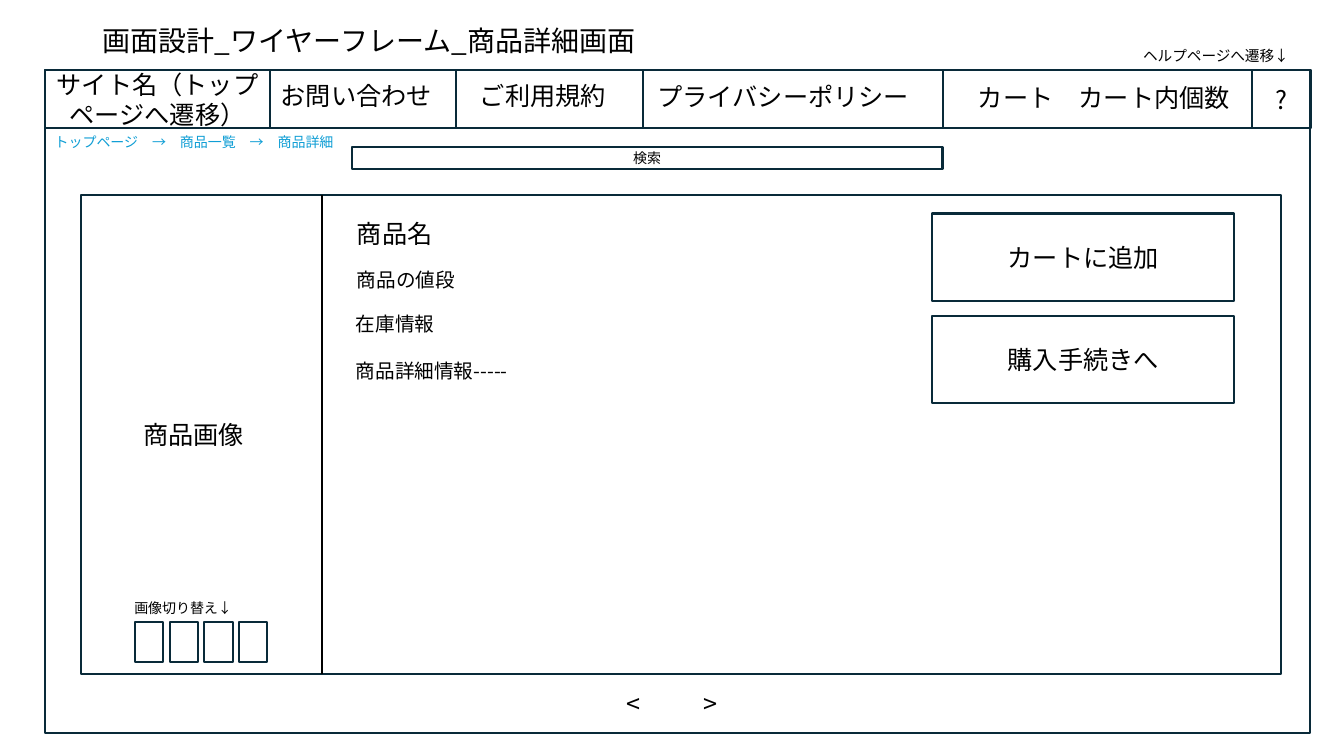
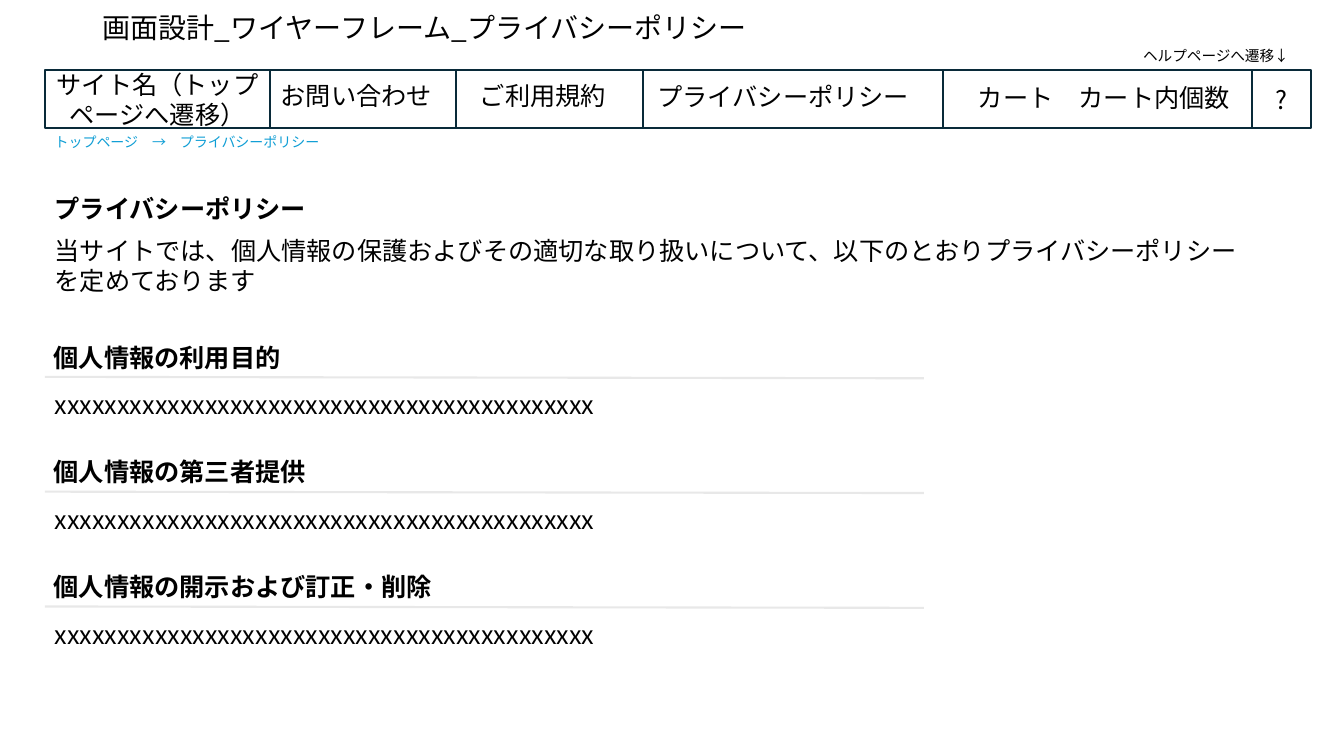
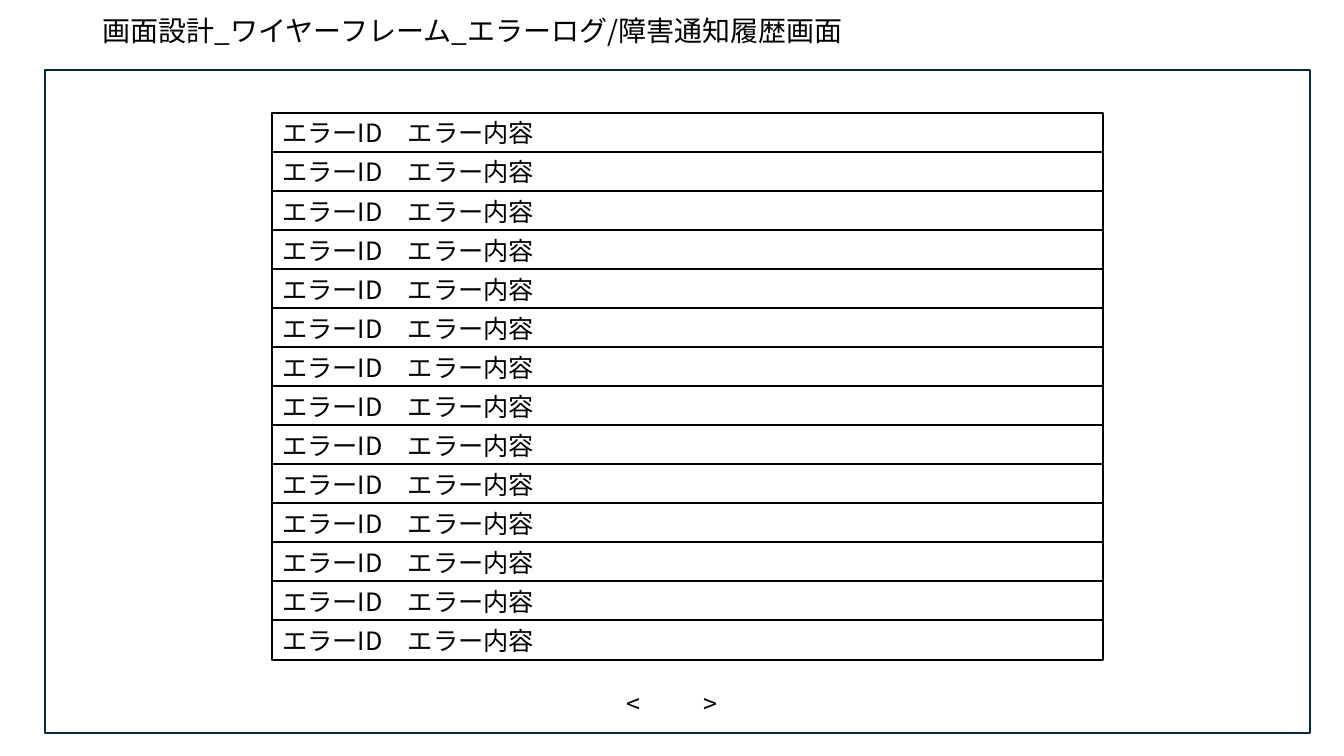
import lxml.etree
import pptx
import pptx.dml.color
import pptx.enum.lang
import pptx.enum.shapes
import pptx.enum.text
import pptx.oxml.ns
import pptx.util

Pt = pptx.util.Pt
RGB = pptx.dml.color.RGBColor
ALIGN = pptx.enum.text.PP_ALIGN
ANCHOR = pptx.enum.text.MSO_ANCHOR
qn = pptx.oxml.ns.qn

FONT = "Noto Sans CJK JP"
BLACK = RGB(0x00, 0x00, 0x00)
WHITE = RGB(0xFF, 0xFF, 0xFF)
NAVY = RGB(0x09, 0x2A, 0x39)
BLUE = RGB(0x0F, 0x9E, 0xD5)
GREY = RGB(0xE8, 0xE8, 0xE8)

STROKE = 1.5
PAGE = (32, 50.1, 904, 473.6)
BAR_H = 41.4
# Menu cells: label, width, and how far the label sits from the cell's centre
MENU = [
    ("お問い合わせ", 133, -5, -2.5),
    ("ご利用規約", 133.5, -5, -2.5),
    ("プライバシーポリシー", 214, -7, -2),
    ("カート　カート内個数", 221, 4.5, -1),
]
SITE_W, HELP_W = 161, 42


def apply(item, values):
    for name, value in values.items():
        setattr(item, name, value)


def write(shape, text, size=18, color=BLACK, bold=False, align=ALIGN.LEFT,
          anchor=ANCHOR.TOP, **para):
    """Fill a shape with text, one paragraph per line."""
    frame = shape.text_frame
    apply(frame, {"text": text, "word_wrap": True, "vertical_anchor": anchor,
                  "auto_size": pptx.enum.text.MSO_AUTO_SIZE.NONE})
    for line in frame.paragraphs:
        apply(line, {"alignment": align, **para})
        for run in line.runs:
            apply(run.font, {"name": FONT, "size": Pt(size), "bold": bold,
                             "language_id": pptx.enum.lang.MSO_LANGUAGE_ID.JAPANESE})
            run.font.color.rgb = color
            east = lxml.etree.SubElement(run.font._element, qn("a:ea"))
            east.set("typeface", FONT)
    return frame


def label(slide, box, text, **style):
    return write(slide.shapes.add_textbox(*map(Pt, box)), text, **style)


def panel(slide, box, text="", color=NAVY, fill=None, **style):
    """Draw an outlined rectangle, with text if given."""
    kind = pptx.enum.shapes.MSO_SHAPE.RECTANGLE
    shape = slide.shapes.add_shape(kind, *map(Pt, box))
    shape.shadow.inherit = False
    if fill is None:
        shape.fill.background()
    else:
        shape.fill.solid()
        shape.fill.fore_color.rgb = fill
    shape.line.color.rgb = color
    shape.line.width = Pt(STROKE)
    if text:
        write(shape, text, **{"align": ALIGN.CENTER, "anchor": ANCHOR.MIDDLE, **style})


def rule(slide, start, end, color=BLACK):
    kind = pptx.enum.shapes.MSO_CONNECTOR.STRAIGHT
    line = slide.shapes.add_connector(kind, *map(Pt, start + end))
    line.line.color.rgb = color
    line.line.width = Pt(STROKE)
    lxml.etree.SubElement(line._element.spPr, qn("a:effectLst"))


def start(deck, name, width, height):
    """Add a slide with its title."""
    slide = deck.slides.add_slide(deck.slide_layouts[5])
    title = slide.shapes.title
    apply(title, {"left": Pt(66), "top": Pt(16.5),
                  "width": Pt(width), "height": Pt(height)})
    write(title, "画面設計_ワイヤーフレーム_" + name, size=20,
          anchor=ANCHOR.MIDDLE, line_spacing=0.9)
    return slide


def header(slide, trail, left, top):
    """Draw the menu bar, the help hint and the breadcrumb trail."""
    base = top + BAR_H
    x = left + SITE_W
    rule(slide, (x, base), (x + sum(cell[1] for cell in MENU), base))
    panel(slide, (left, top, SITE_W, BAR_H), "サイト名（トップページへ遷移）")
    for text, width, dx, dy in MENU:
        panel(slide, (x, top, width, BAR_H))
        label(slide, (x + dx, top + dy, width, BAR_H), text,
              align=ALIGN.CENTER, anchor=ANCHOR.MIDDLE)
        x += width
    panel(slide, (x, top, HELP_W, BAR_H), "?")
    label(slide, (x + HELP_W - 127, top - 20, 127, 20), "ヘルプページへ遷移↓", size=10.5)
    label(slide, (left, base, 354, 19), trail, size=10, color=BLUE)


def pager(slide, left, top):
    """Place both page arrows on one line, spaced by a tab stop."""
    frame = label(slide, (left, top, 90, 29), "<\t>")
    frame.margin_right = 0
    props = frame.paragraphs[0]._p.get_or_add_pPr()
    tabs = lxml.etree.SubElement(props, qn("a:tabLst"))
    tab = lxml.etree.SubElement(tabs, qn("a:tab"))
    tab.set("pos", str(Pt(55)))
    tab.set("algn", "l")


def gallery(slide, left, top):
    """Place the product picture area and its four thumbnails."""
    label(slide, (left + 37.5, top + 157, 93, 29), "商品画像")
    label(slide, (left + 31, top + 285.5, 101, 19), "画像切り替え↓", size=10)
    for i in range(4):
        panel(slide, (left + 38.6 + 24.8 * i, top + 305, 20.2, 28.8))


def facts(slide, left, top):
    """Place the product's name, price, stock and details."""
    label(slide, (left, top, 93, 29), "商品名")
    label(slide, (left, top + 35.5, 105, 24.5), "商品の値段", size=14)
    frame = label(slide, (left - 0.7, top + 67, 141, 58),
                  "在庫情報\n商品詳細情報-----", size=14)
    frame.paragraphs[1].space_before = Pt(16.8)


def product(slide, left, top, width, height):
    """Lay out the product card."""
    panel(slide, (left, top, width, height))
    split = left + 172
    rule(slide, (split, top), (split, top + height))
    gallery(slide, left, top)
    facts(slide, split + 18, top + 13)
    for i, text in enumerate(["カートに追加", "購入手続きへ"]):
        panel(slide, (left + 608, top + 13.3 + 73 * i, 216, 62.6), text)


def policy(slide, left, top):
    """Lay out the policy's opening and its sections."""
    label(slide, (left, top, 258, 29), "プライバシーポリシー", bold=True)
    label(slide, (left, top + 30, 868, 51),
          "当サイトでは、個人情報の保護およびその適切な取り扱いについて、"
          "以下のとおりプライバシーポリシーを定めております")
    heads = ["個人情報の利用目的", "個人情報の第三者提供", "個人情報の開示および訂正・削除"]
    for i, head in enumerate(heads):
        y = top + 106 + 82 * i
        label(slide, (left - 0.7, y, 513, 29), head, bold=True)
        rule(slide, (left, y + 28.6), (left + 628, y + 29.6), GREY)
        label(slide, (left, y + 34, 410, 29), "x" * 43)


def log(slide, left, top, width, rows=14, step=27.86):
    for i in range(rows):
        panel(slide, (left, top + step * i, width, 29), "エラーID　エラー内容",
              color=BLACK, fill=WHITE, align=ALIGN.LEFT, anchor=ANCHOR.TOP)


def main():
    deck = pptx.Presentation()
    apply(deck, {"slide_width": Pt(960), "slide_height": Pt(540)})
    left, top = PAGE[:2]

    slide = start(deck, "商品詳細画面", 402.5, 27.5)
    panel(slide, PAGE)
    header(slide, "トップページ　→　商品一覧　→　商品詳細", left, top)
    panel(slide, (251.3, 105, 422, 16), "検索", size=10)
    product(slide, 57.8, 139.2, 857.2, 342)
    pager(slide, 440.6, 488)

    slide = start(deck, "プライバシーポリシー", 491, 9.4)
    header(slide, "トップページ　→　プライバシーポリシー", left, top)
    policy(slide, left, 134.6)

    slide = start(deck, "エラーログ/障害通知履歴画面", 554.4, 13.7)
    panel(slide, PAGE)
    log(slide, 194.6, 80.6, 593.3)
    pager(slide, 440.6, 488)

    deck.save("out.pptx")


if __name__ == "__main__":
    main()
